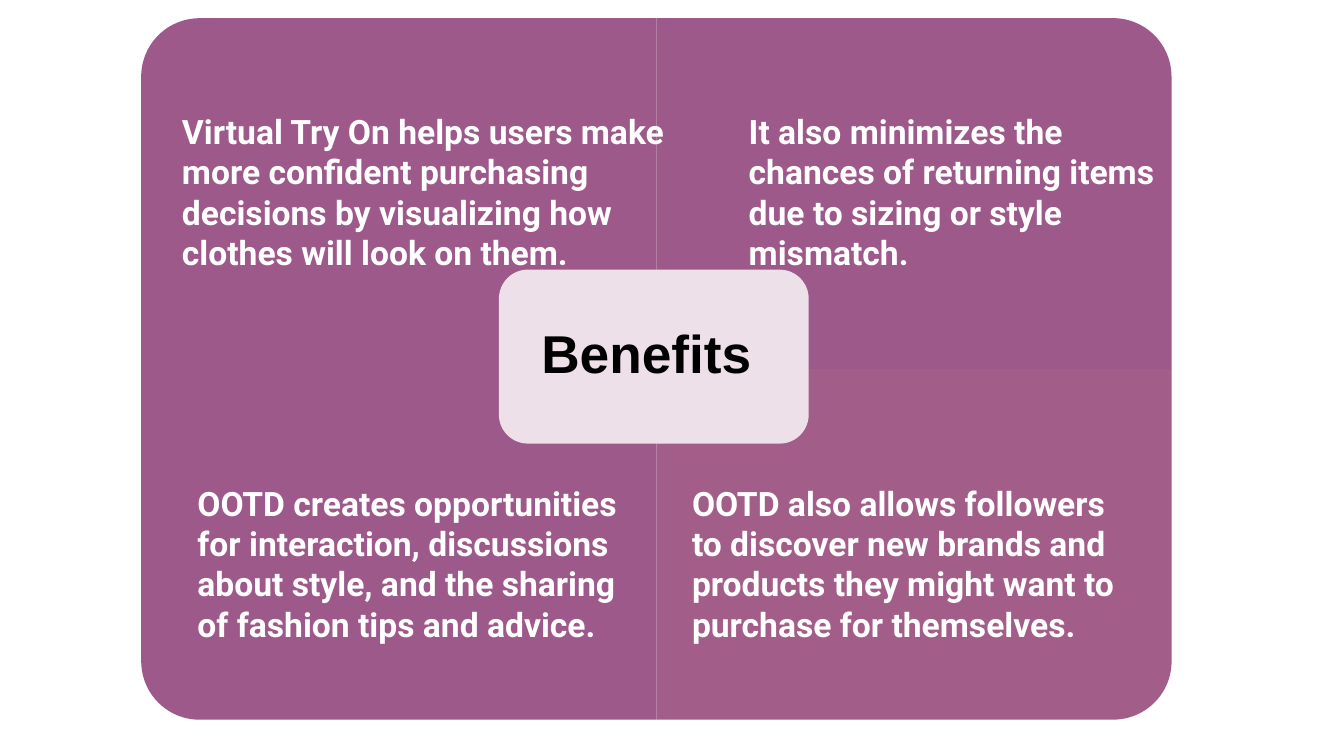
"""Build the Benefits slide: four rounded quadrants around a central title."""
from dataclasses import dataclass

from pptx import Presentation
from pptx.dml.color import RGBColor
from pptx.enum.shapes import MSO_SHAPE
from pptx.enum.text import MSO_ANCHOR, MSO_AUTO_SIZE, PP_ALIGN
from pptx.util import Inches, Pt

QUADRANT_FORM = MSO_SHAPE.ROUND_1_RECTANGLE
HUB_FORM = MSO_SHAPE.ROUNDED_RECTANGLE
MIDDLE = MSO_ANCHOR.MIDDLE
CENTER = PP_ALIGN.CENTER
NO_AUTOFIT = MSO_AUTO_SIZE.NONE

SLIDE_WIDTH, SLIDE_HEIGHT = 13.33, 7.5
GRID_LEFT, GRID_TOP = 1.4, 0.18
COLUMN, ROW = 5.11, 3.48
HUB_PADDING = 0.08
TITLE_INSET = Inches(0.16)
TITLE_ONLY = 5


@dataclass(frozen=True)
class Theme:
    """Colours, fonts and type sizes of the slide."""
    plum: str = "9D598A"
    rose: str = "A25E88"
    blush: str = "EDE0E8"
    title_color: str = "000000"
    benefit_color: str = "FFFFFF"
    title_font: str = "Arial"
    benefit_font: str = "Roboto"
    title_size: int = 38
    benefit_size: int = 24


@dataclass(frozen=True)
class Area:
    """A rectangle in columns and rows of the quadrant grid."""
    column: float
    row: float
    columns: float = 1
    rows: float = 1

    def inches(self) -> tuple[float, float, float, float]:
        """Return left, top, width and height in inches."""
        return (GRID_LEFT + self.column * COLUMN, GRID_TOP + self.row * ROW,
                self.columns * COLUMN, self.rows * ROW)


@dataclass(frozen=True)
class Benefit:
    """One quadrant with its rotation, colour and statement."""
    quadrant: Area
    rotation: int
    color: str
    text_area: Area
    statement: str


THEME = Theme()
TITLE_AREA = Area(0.71, 0.74, 0.57, 0.45)
BENEFITS = (
    Benefit(Area(0, 0), 270, THEME.plum, Area(0.06, 0.25, 0.99, 0.49),
            "Virtual Try On helps users make more confident purchasing "
            "decisions by visualizing how clothes will look on them."),
    Benefit(Area(1, 0), 0, THEME.plum, Area(1.16, 0.25, 0.84, 0.49),
            "It also minimizes the chances of returning items due to sizing "
            "or style mismatch."),
    Benefit(Area(0, 1), 180, THEME.plum, Area(0.09, 1.31, 0.91, 0.49),
            "OOTD creates opportunities for interaction, discussions about "
            "style, and the sharing of fashion tips and advice."),
    Benefit(Area(1, 1), 90, THEME.rose, Area(1.05, 1.31, 0.89, 0.49),
            "OOTD also allows followers to discover new brands and products "
            "they might want to purchase for themselves."),
)


def apply_format(target, values: dict) -> None:
    """Set each named attribute on the target."""
    for name, value in values.items():
        setattr(target, name, value)


def style_font(font, name: str, size: int, color: str) -> None:
    """Give a font its bold face, size and colour."""
    apply_format(font, {"name": name, "size": Pt(size), "bold": True})
    font.color.rgb = RGBColor.from_string(color)


def add_panel(slide, form, left: float, top: float, width: float,
              height: float, color: str, rotation: int = 0) -> None:
    """Add a borderless panel whose rotated outline fills the given box."""
    center_x, center_y = left + width / 2, top + height / 2
    if rotation % 180:
        width, height = height, width
    panel = slide.shapes.add_shape(
        form, Inches(center_x - width / 2), Inches(center_y - height / 2),
        Inches(width), Inches(height))
    panel.rotation = rotation
    panel.shadow.inherit = False
    panel.fill.solid()
    panel.fill.fore_color.rgb = RGBColor.from_string(color)
    panel.line.fill.background()


def add_hub(slide) -> None:
    """Add the central panel and place the title on top of it."""
    left, top, width, height = TITLE_AREA.inches()
    add_panel(slide, HUB_FORM, left - HUB_PADDING, top - HUB_PADDING,
              width + 2 * HUB_PADDING, height + 2 * HUB_PADDING, THEME.blush)
    title = slide.shapes.title
    title.element.getparent().append(title.element)
    apply_format(title, {"left": Inches(left), "top": Inches(top),
                         "width": Inches(width), "height": Inches(height)})
    frame = title.text_frame
    frame.text = "Benefits "
    apply_format(frame, {
        "word_wrap": True, "auto_size": NO_AUTOFIT, "vertical_anchor": MIDDLE,
        "margin_left": TITLE_INSET, "margin_right": TITLE_INSET,
        "margin_top": TITLE_INSET, "margin_bottom": TITLE_INSET})
    heading = frame.paragraphs[0]
    apply_format(heading, {"alignment": CENTER, "line_spacing": 0.9})
    style_font(heading.runs[0].font, THEME.title_font, THEME.title_size,
               THEME.title_color)


def add_statement(slide, benefit: Benefit) -> None:
    """Write the statement of a benefit over its quadrant."""
    box = slide.shapes.add_textbox(*map(Inches, benefit.text_area.inches()))
    frame = box.text_frame
    frame.word_wrap = True
    frame.text = benefit.statement
    style_font(frame.paragraphs[0].runs[0].font, THEME.benefit_font,
               THEME.benefit_size, THEME.benefit_color)


def main() -> None:
    """Build and save the slide."""
    deck = Presentation()
    apply_format(deck, {"slide_width": Inches(SLIDE_WIDTH),
                        "slide_height": Inches(SLIDE_HEIGHT)})
    slide = deck.slides.add_slide(deck.slide_layouts[TITLE_ONLY])
    for benefit in BENEFITS:
        add_panel(slide, QUADRANT_FORM, *benefit.quadrant.inches(),
                  benefit.color, benefit.rotation)
    add_hub(slide)
    for benefit in BENEFITS:
        add_statement(slide, benefit)
    deck.save("out.pptx")


if __name__ == "__main__":
    main()
